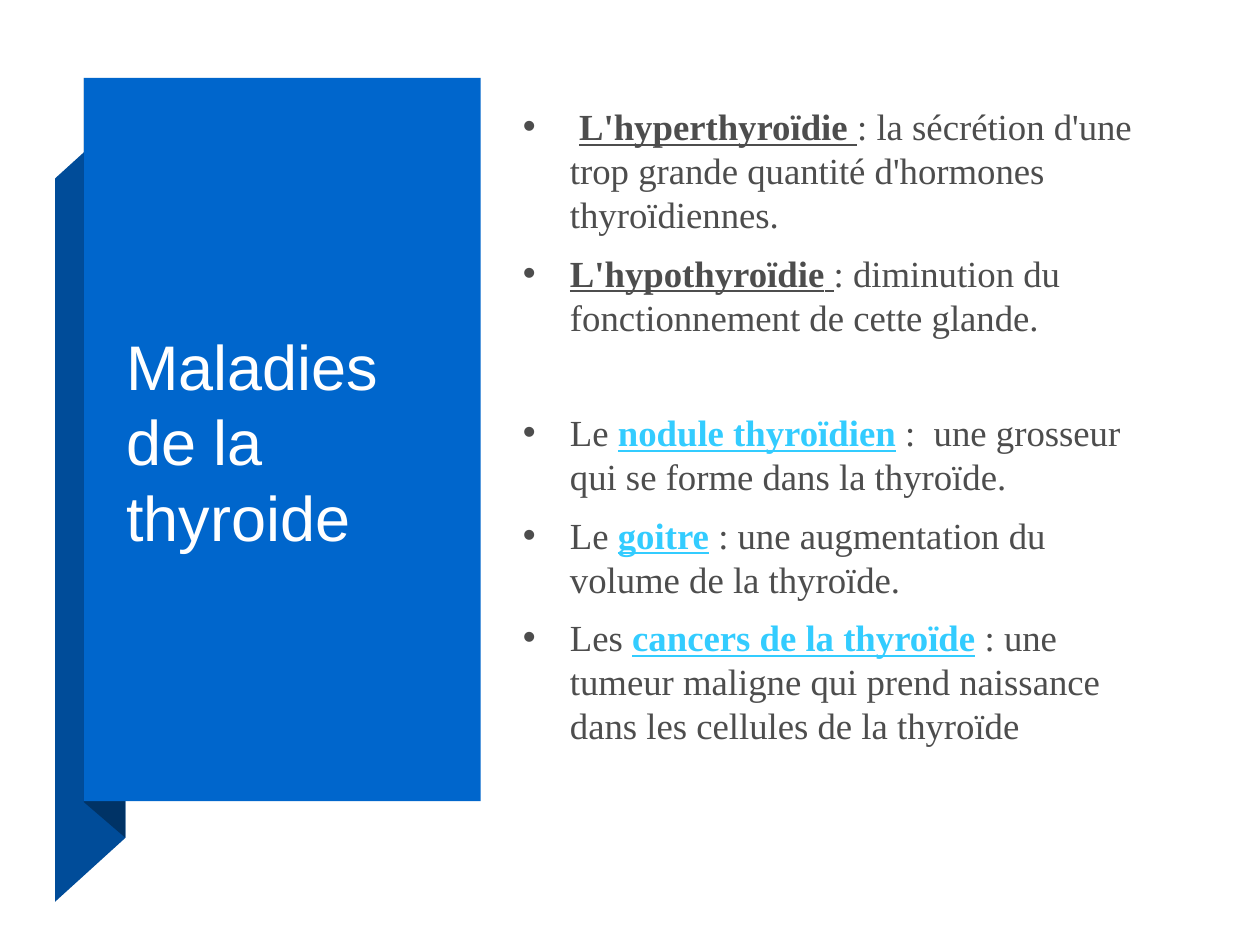
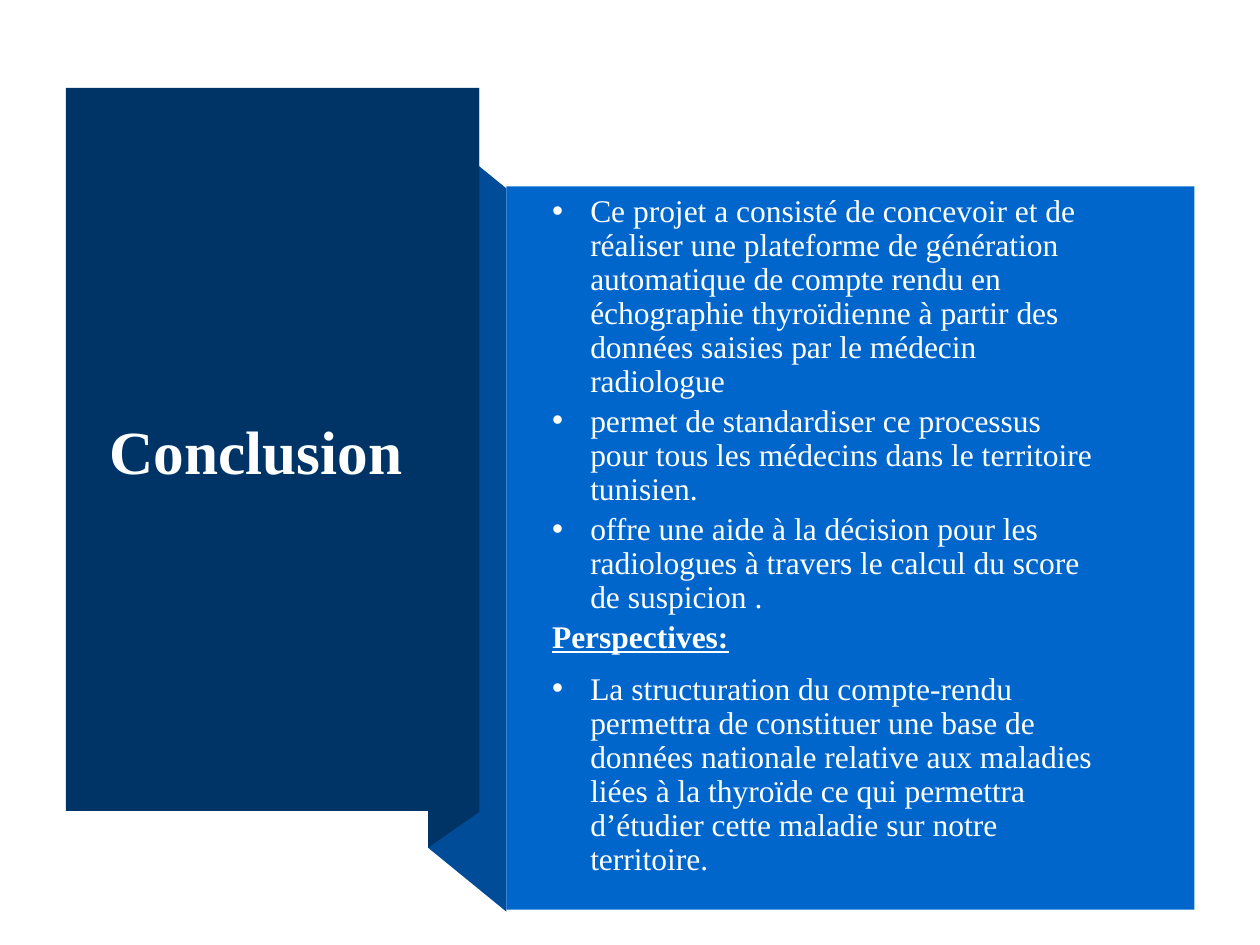
import pptx
import pptx.dml.color
import pptx.enum.shapes
import pptx.enum.text
import pptx.oxml
import pptx.oxml.ns
import pptx.util
from pptx.util import Cm

RGBColor = pptx.dml.color.RGBColor
BLUE = RGBColor(0x00, 0x66, 0xCC)
MID_BLUE = RGBColor(0x00, 0x4C, 0x99)
NAVY = RGBColor(0x00, 0x33, 0x66)
SKY = RGBColor(0x33, 0xCC, 0xFF)
GREY = RGBColor(0x4D, 0x4D, 0x4D)
WHITE = RGBColor(0xFF, 0xFF, 0xFF)
OFF_WHITE = RGBColor(0xFE, 0xFF, 0xFF)

SANS = "Arial"
SERIF = "Times New Roman"
PANEL_H = 14.58
LEADING = 1.197  # line pitch as a multiple of the font size

# Runs are (text, style); paragraphs are (space before in pt, bulleted, runs)
PLAIN, STRONG, LINE, KEY = "plain", "strong", "line", "key"

DISEASES = [
    (0, True, [(" ", PLAIN), ("L'hyperthyroïdie", STRONG), (" ", LINE),
               (": la sécrétion d'une trop grande quantité d'hormones thyroïdiennes.", PLAIN)]),
    (8.4, True, [("L'hypothyroïdie", STRONG), (" ", LINE),
                 (": diminution du fonctionnement de cette glande.", PLAIN)]),
    (41, True, [("Le ", PLAIN), ("nodule thyroïdien", KEY),
                (" :  une grosseur qui se forme dans la thyroïde.", PLAIN)]),
    (8.4, True, [("Le ", PLAIN), ("goitre", KEY),
                 (" : une augmentation du volume de la thyroïde.", PLAIN)]),
    (8.4, True, [("Les ", PLAIN), ("cancers de la thyroïde", KEY),
                 (" : une tumeur maligne qui prend naissance dans les cellules de la thyroïde", PLAIN)]),
]

CONCLUSION = [
    (0, True, [("Ce projet a consisté de concevoir et de réaliser une plateforme de génération "
                "automatique de compte rendu en échographie thyroïdienne à partir des données "
                "saisies par le médecin radiologue", PLAIN)]),
    (3.6, True, [("permet de standardiser ce processus pour tous les médecins dans le territoire "
                  "tunisien.", PLAIN)]),
    (3.6, True, [("offre une aide à la décision pour les radiologues à travers le calcul du score "
                  "de suspicion .", PLAIN)]),
    (3.6, False, [("Perspectives:", STRONG)]),
    (10.1, True, [("La structuration du compte-rendu permettra de constituer une base de données "
                   "nationale relative aux maladies liées à la thyroïde ce qui permettra d’étudier "
                   "cette maladie sur notre territoire.", PLAIN)]),
]


def paint(sp, color):
    sp.shadow.inherit = False
    sp.fill.solid()
    sp.fill.fore_color.rgb = color
    sp.line.fill.background()


def add_panel(slide, box, color):
    sp = slide.shapes.add_shape(pptx.enum.shapes.MSO_SHAPE.RECTANGLE, *map(Cm, box))
    paint(sp, color)


def add_slanted_band(slide, x1, y1, x2, y2, height, color):
    """Parallelogram with upright sides at x1 and x2."""
    builder = slide.shapes.build_freeform(Cm(x1), Cm(y1))
    corners = [(x2, y2), (x2, y2 + height), (x1, y1 + height)]
    builder.add_line_segments([(Cm(x), Cm(y)) for x, y in corners], close=True)
    paint(builder.convert_to_shape(), color)


def add_fold(slide, outer, edge, inner, top):
    """Ribbon folded behind the panel whose side is at edge."""
    add_slanted_band(slide, outer, top + 2.03, inner, top + 0.74, PANEL_H, MID_BLUE)
    add_slanted_band(slide, edge, top, inner, top + 0.72, PANEL_H + 0.02, NAVY)


def add_text_frame(slide, box):
    tf = slide.shapes.add_textbox(*map(Cm, box)).text_frame
    tf.word_wrap = True
    tf.vertical_anchor = pptx.enum.text.MSO_ANCHOR.MIDDLE
    return tf


def set_font(p, name, size, color, spacing=1.0):
    p.font.name = name
    p.font.size = pptx.util.Pt(size)
    p.font.color.rgb = color
    p.line_spacing = pptx.util.Pt(round(size * LEADING * spacing, 1))


def add_title(slide, box, text, name, size, bold=False):
    p = add_text_frame(slide, box).paragraphs[0]
    p.text = text
    set_font(p, name, size, WHITE)
    p.font.bold = bold


def set_bullet(p, indent):
    pPr = p._p.get_or_add_pPr()
    pPr.set("marL", str(Cm(indent)))
    pPr.set("indent", str(-Cm(indent)))
    for tag, attr, value in (("a:buFont", "typeface", "Arial"), ("a:buChar", "char", "•")):
        bu = pptx.oxml.parse_xml(f'<{tag} {pptx.oxml.ns.nsdecls("a")} {attr}="{value}"/>')
        pPr.insert_element_before(bu, "a:tabLst", "a:defRPr", "a:extLst")


def add_body(slide, box, paragraphs, size, color, indent, spacing=1.0):
    tf = add_text_frame(slide, box)
    for i, (before, bulleted, runs) in enumerate(paragraphs):
        p = tf.paragraphs[0] if i == 0 else tf.add_paragraph()
        set_font(p, SERIF, size, color, spacing)
        p.space_before = pptx.util.Pt(before)
        if bulleted:
            set_bullet(p, indent)
        for text, style in runs:
            r = p.add_run()
            r.text = text
            # Run fonts carry the paragraph's look plus emphasis
            r.font.name = SERIF
            r.font.size = pptx.util.Pt(size)
            r.font.color.rgb = SKY if style == KEY else color
            r.font.bold = style in (STRONG, KEY)
            r.font.underline = style != PLAIN
    return tf


def build_diseases(slide):
    left, top, width = 1.69, 1.57, 8
    add_fold(slide, outer=1.11, edge=left, inner=2.53, top=top)
    add_panel(slide, (left, top, width, PANEL_H), BLUE)
    add_title(slide, (left + 0.61, top + 0.89, 6.73, 12.85), "Maladies de la thyroide", SANS, 36)
    tf = add_body(slide, (10.29, 0.53, 13.69, 17), DISEASES, 21, GREY, indent=0.95)
    tf.margin_right = Cm(0.85)
    tf.margin_bottom = Cm(1.02)


def build_conclusion(slide):
    left, top, width = 1.33, 1.77, 8.33
    text_left, text_top = 10.21, 3.76
    add_fold(slide, outer=text_left, edge=left + width, inner=8.63, top=top)
    add_panel(slide, (left, top, width, PANEL_H), NAVY)
    add_title(slide, (left + 0.63, top + 0.97, 7.06, 12.67), "Conclusion", SERIF, 35, bold=True)
    add_panel(slide, (text_left, text_top, 13.87, PANEL_H), BLUE)
    tf = add_body(slide, (text_left + 0.67, text_top + 1.02, 12.4, 12.04), CONCLUSION, 18,
                  OFF_WHITE, indent=0.77, spacing=0.9)
    tf.margin_right = Cm(1.14)


def main():
    prs = pptx.Presentation()
    prs.slide_width, prs.slide_height = Cm(25.4), Cm(19.05)
    for build in (build_diseases, build_conclusion):
        build(prs.slides.add_slide(prs.slide_layouts[6]))
    prs.save("out.pptx")


if __name__ == "__main__":
    main()
